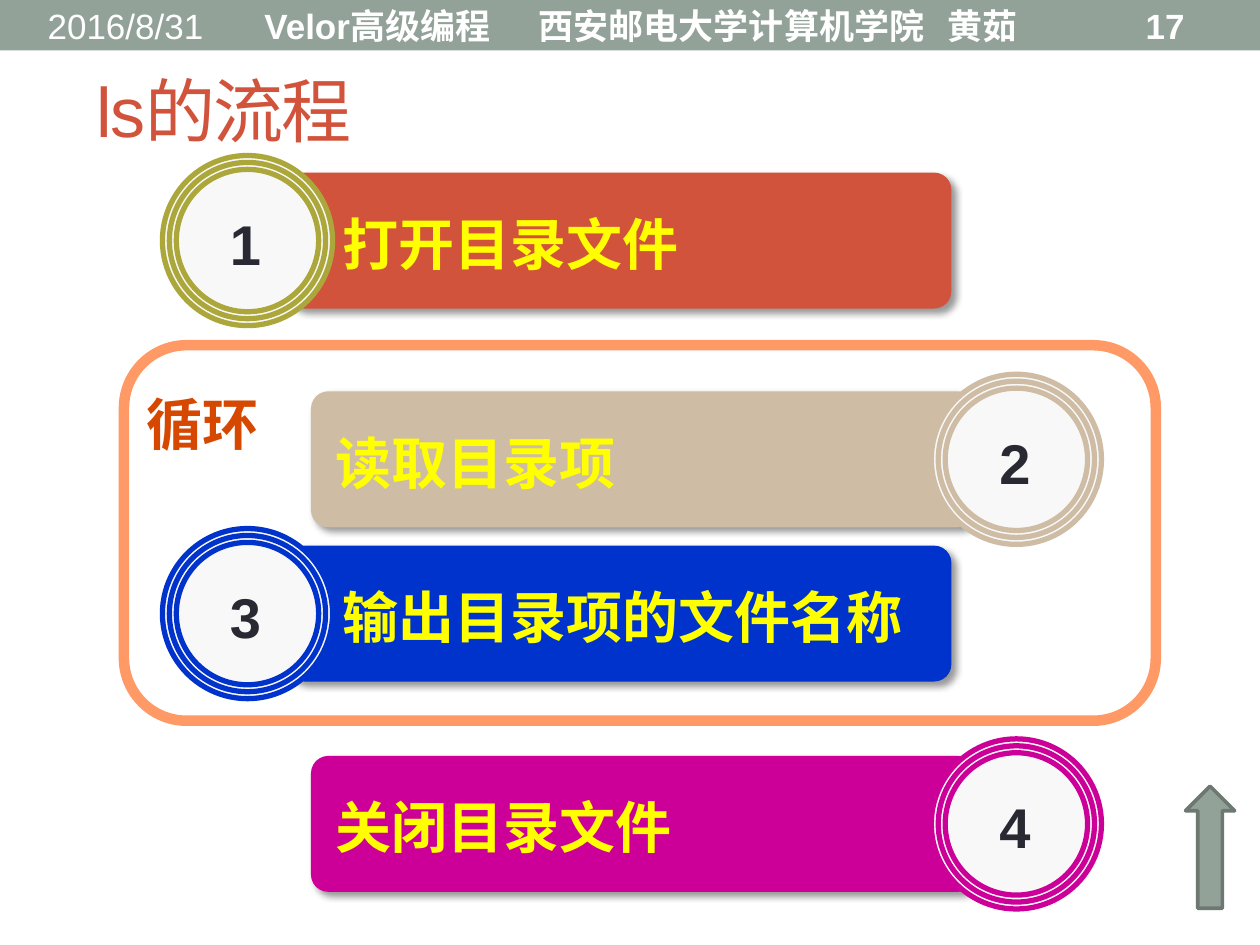
from dataclasses import dataclass

from lxml import etree
from pptx import Presentation
from pptx import util as u
from pptx.dml.color import RGBColor
from pptx.enum import shapes, text
from pptx.oxml.ns import qn


@dataclass(frozen=True)
class Theme:
    font: str = "Arial"
    sage: str = "93A299"
    sage_dark: str = "6D7871"
    red: str = "D2533C"
    olive: str = "ACA73B"
    sand: str = "CEBCA4"
    blue: str = "0033CC"
    magenta: str = "CC0099"
    orange: str = "FF9966"
    loop_text: str = "D64700"
    disc: str = "F8F8F8"
    ink: str = "292934"
    yellow: str = "FFFF00"
    white: str = "FFFFFF"
    title_size: int = 40
    step_size: int = 32
    header_size: int = 20


@dataclass(frozen=True)
class Side:
    bar_left: float
    label_left: float
    badge_x: float
    number_x: float


@dataclass(frozen=True)
class Step:
    label: str
    center_y: float
    side: Side
    bar_color: str
    ring_color: str


THEME = Theme()
LEFT = Side(5.79, 6.4, 4.99, 4.95)
RIGHT = Side(6.27, 6.27, 20.49, 20.46)
STEPS = [
    Step("打开目录文件", 4.85, LEFT, THEME.red, THEME.olive),
    Step("读取目录项", 9.26, RIGHT, THEME.sand, THEME.sand),
    Step("输出目录项的文件名称", 12.37, LEFT, THEME.blue, THEME.blue),
    Step("关闭目录文件", 16.61, RIGHT, THEME.magenta, THEME.magenta),
]
BAR_WIDTH, BAR_HEIGHT = 13.39, 2.74
RING_DIAMETERS = (3.43, 3.15, 2.87)
LINE_HEIGHT = 1.62


def add_shape(parent, kind, left: float, top: float, width: float, height: float,
              fill: str = "", line: str = "", weight: float = 0):
    shape = parent.add_shape(kind, u.Cm(left), u.Cm(top), u.Cm(width), u.Cm(height))
    shape.shadow.inherit = False
    if fill:
        shape.fill.solid()
        shape.fill.fore_color.rgb = RGBColor.from_string(fill)
    else:
        shape.fill.background()
    if line:
        shape.line.color.rgb = RGBColor.from_string(line)
        shape.line.width = u.Pt(weight)
    else:
        shape.line.fill.background()
    return shape


def add_text(page, words: str, left: float, top: float, width: float, height: float,
             size: int, color: str, bold: bool = True, align=text.PP_ALIGN.LEFT,
             anchor=text.MSO_ANCHOR.MIDDLE, wrap: bool = True, inset: float = 0.25):
    box = page.shapes.add_textbox(u.Cm(left), u.Cm(top), u.Cm(width), u.Cm(height))
    frame = box.text_frame
    frame.word_wrap = wrap
    frame.vertical_anchor = anchor
    frame.margin_left = u.Cm(inset)
    frame.text = words
    para = frame.paragraphs[0]
    para.alignment = align
    for span in para.runs:
        span.font.name = THEME.font
        span.font.size = u.Pt(size)
        span.font.bold = bold
        span.font.color.rgb = RGBColor.from_string(color)
    return box


def add_shadow(shape) -> None:
    effects = shape._element.spPr.find(qn("a:effectLst"))
    shadow = etree.SubElement(effects, qn("a:outerShdw"), blurRad=str(u.Pt(4)),
                              dist=str(u.Pt(3)), dir="2700000", algn="tl",
                              rotWithShape="0")
    color = etree.SubElement(shadow, qn("a:srgbClr"), val="000000")
    etree.SubElement(color, qn("a:alpha"), val="40000")


def set_tabs(para, stops: list[float]) -> None:
    tabs = etree.SubElement(para._p.get_or_add_pPr(), qn("a:tabLst"))
    for stop in stops:
        etree.SubElement(tabs, qn("a:tab"), pos=str(u.Cm(stop)), algn="l")


def draw_header(page) -> None:
    add_shape(page.shapes, shapes.MSO_SHAPE.RECTANGLE, 0, 0, 25.4, 1.02, THEME.sage)
    row = {"top": 0.05, "height": 0.92, "size": THEME.header_size, "color": THEME.white}
    add_text(page, "17", left=21.16, width=2.97, align=text.PP_ALIGN.RIGHT, **row)
    add_text(page, "2016/8/31", left=0.71, width=4.19, bold=False, **row)
    course = add_text(page, "Velor高级编程\t西安邮电大学计算机学院\t黄茹",
                      left=5.33, width=15.65, inset=0, **row)
    set_tabs(course.text_frame.paragraphs[0], [5.53, 13.77])


def draw_title(page) -> None:
    box = add_text(page, "ls的流程", 1.7, 0.53, 19.35, 3.35, THEME.title_size,
                   THEME.red, bold=False)
    for span in box.text_frame.paragraphs[0].runs:
        span._r.get_or_add_rPr().set("spc", "-100")


def draw_step(page, number: int, step: Step) -> None:
    side = step.side
    bar = add_shape(page.shapes, shapes.MSO_SHAPE.ROUNDED_RECTANGLE, side.bar_left,
                    step.center_y - BAR_HEIGHT / 2, BAR_WIDTH, BAR_HEIGHT, step.bar_color)
    bar.adjustments[0] = 0.127
    add_shadow(bar)
    text_top = step.center_y - 0.75
    add_text(page, step.label, side.label_left, text_top, 12.7, LINE_HEIGHT,
             THEME.step_size, THEME.yellow, anchor=text.MSO_ANCHOR.TOP, inset=0.5)
    badge = page.shapes.add_group_shape()
    for index, diameter in enumerate(RING_DIAMETERS):
        add_shape(badge.shapes, shapes.MSO_SHAPE.OVAL, side.badge_x - diameter / 2,
                  step.center_y - diameter / 2, diameter, diameter,
                  "" if index else THEME.disc, step.ring_color, 3)
    add_text(page, str(number), side.number_x - 1.5, text_top, 3, LINE_HEIGHT,
             THEME.step_size, THEME.ink, align=text.PP_ALIGN.CENTER,
             anchor=text.MSO_ANCHOR.TOP)


def main() -> None:
    deck = Presentation()
    deck.slide_width, deck.slide_height = u.Cm(25.4), u.Cm(19.05)
    page = deck.slides.add_slide(deck.slide_layouts[6])
    draw_header(page)
    add_shape(page.shapes, shapes.MSO_SHAPE.ROUNDED_RECTANGLE, 2.5, 6.96, 20.8, 7.57,
              line=THEME.orange, weight=6)
    draw_title(page)
    for number, step in enumerate(STEPS, 1):
        draw_step(page, number, step)
    add_text(page, "循环", 2.7, 7.72, 2.79, LINE_HEIGHT, THEME.step_size,
             THEME.loop_text, anchor=text.MSO_ANCHOR.TOP, wrap=False)
    add_shape(page.shapes, shapes.MSO_SHAPE.UP_ARROW, 23.9, 15.85, 0.99, 2.46,
              THEME.sage, THEME.sage_dark, 2.08)
    deck.save("out.pptx")


if __name__ == "__main__":
    main()
